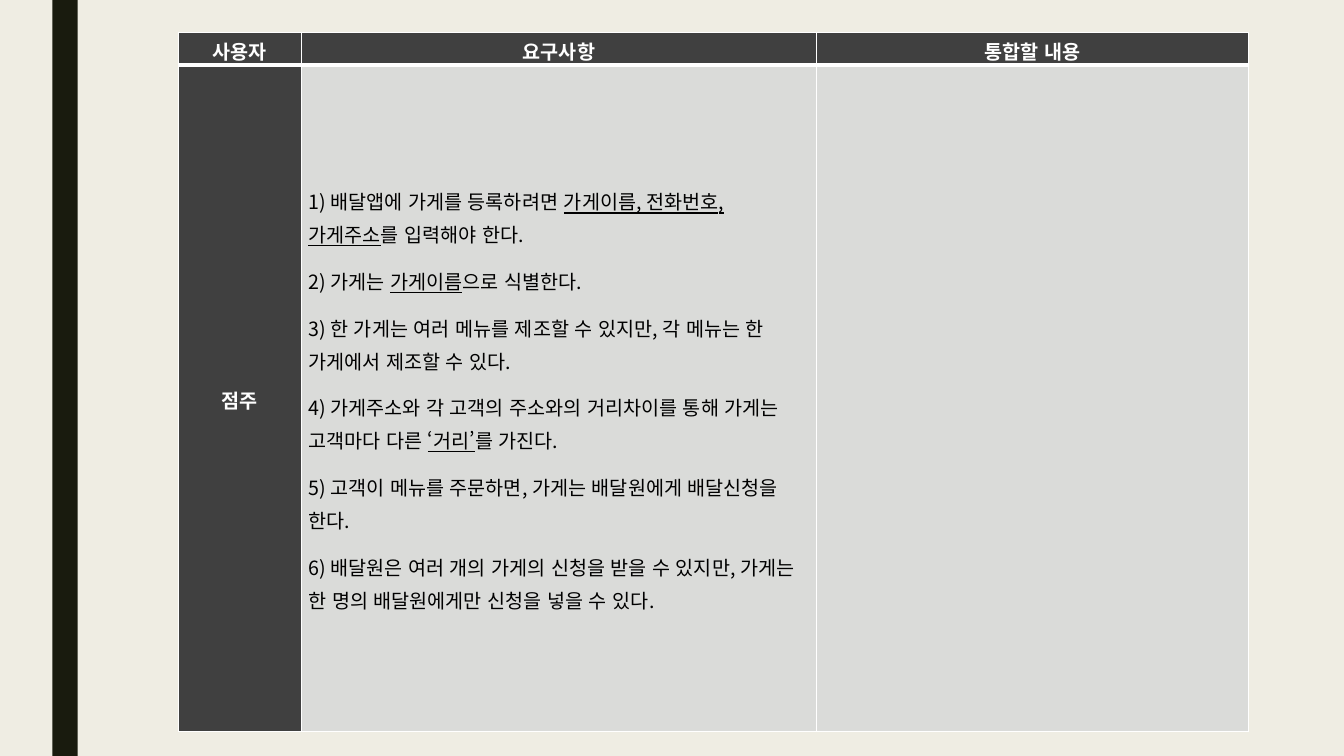
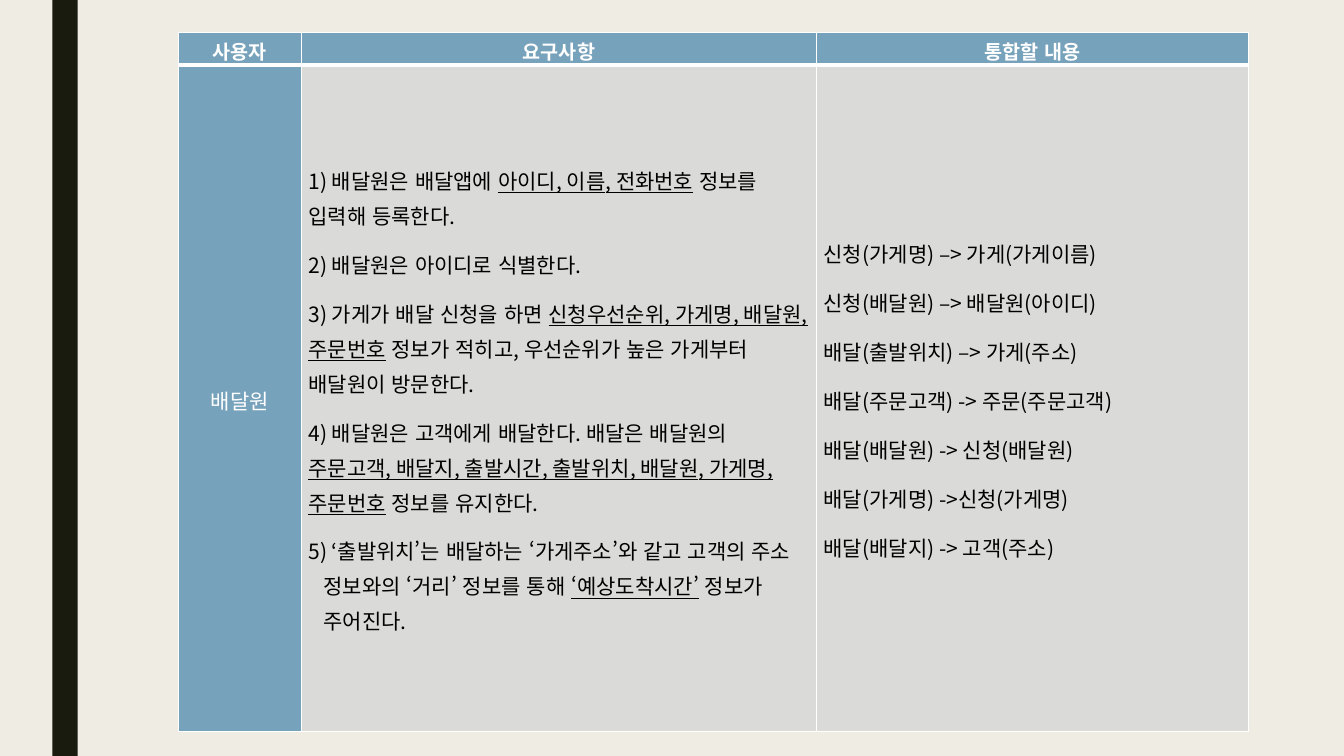
from dataclasses import dataclass

from lxml.etree import SubElement
from pptx import Presentation
from pptx.dml.color import RGBColor
from pptx.enum.lang import MSO_LANGUAGE_ID
from pptx.enum.shapes import MSO_SHAPE
from pptx.enum.text import MSO_ANCHOR, PP_ALIGN
from pptx.oxml.ns import qn
from pptx.presentation import Presentation as Deck
from pptx.slide import Slide
from pptx.table import _Cell as Cell
from pptx.util import Emu, Pt

EMU_PER_PX = 9144  # 100 px to the inch


def px(length: int) -> Emu:
    return Emu(length * EMU_PER_PX)


@dataclass(frozen=True)
class Theme:
    font: str = "Noto Sans CJK KR"
    background: str = "EFEDE3"
    band: str = "191B0E"
    cell: str = "DADBD9"
    light: str = "FFFFFF"
    dark: str = "000000"
    header_size: int = 14
    line_spacing: float = 1.15
    space_after: int = 10
    thin_rule: int = 1
    thick_rule: int = 3


THEME = Theme()
HEADERS = ("사용자", "요구사항", "통합할 내용")
COLUMNS = (122, 511, 428)
ROWS = (26, 661)


@dataclass(frozen=True)
class Line:
    """One paragraph; words between underscores are underlined."""
    text: str
    hanging: int = 0


@dataclass(frozen=True)
class UserPage:
    user: str
    accent: str
    size: int
    user_bold: bool
    requirements: tuple[Line, ...]
    merges: tuple[Line, ...] = ()


@dataclass(frozen=True)
class CellStyle:
    fill: str
    color: str
    size: int
    bold: bool = False
    align: PP_ALIGN | None = None
    inset: int = 7
    top: int = THEME.thin_rule
    bottom: int = THEME.thin_rule


PAGES = (
    UserPage(
        "점주", "404040", 14, True,
        (
            Line("1) 배달앱에 가게를 등록하려면 _가게이름, 전화번호, 가게주소_를 입력해야 한다."),
            Line("2) 가게는 _가게이름_으로 식별한다."),
            Line("3) 한 가게는 여러 메뉴를 제조할 수 있지만, 각 메뉴는 한 가게에서 제조할 수 있다."),
            Line("4) 가게주소와 각 고객의 주소와의 거리차이를 통해 가게는 고객마다 다른 _‘거리’_를 가진다."),
            Line("5) 고객이 메뉴를 주문하면, 가게는 배달원에게 배달신청을 한다."),
            Line("6) 배달원은 여러 개의 가게의 신청을 받을 수 있지만, 가게는 한 명의 배달원에게만 신청을 넣을 수 있다."),
        ),
    ),
    UserPage(
        "배달원", "77A2BB", 15, False,
        (
            Line("1) 배달원은 배달앱에 _아이디, 이름, 전화번호_ 정보를 입력해 등록한다."),
            Line("2) 배달원은 아이디로 식별한다."),
            Line("3) 가게가 배달 신청을 하면 _신청우선순위, 가게명, 배달원, 주문번호_ 정보가 적히고, "
                 "우선순위가 높은 가게부터 배달원이 방문한다."),
            Line("4) 배달원은 고객에게 배달한다. 배달은 배달원의 "
                 "_주문고객, 배달지, 출발시간, 출발위치, 배달원, 가게명, 주문번호_ 정보를 유지한다."),
            Line("5) ‘출발위치’는 배달하는 ‘가게주소’와 같고 고객의 주소 정보와의 ‘거리’ 정보를 통해 "
                 "_‘예상도착시간’_ 정보가 주어진다.", 15),
        ),
        tuple(Line(text, 15) for text in (
            "신청(가게명) –> 가게(가게이름)",
            "신청(배달원) –> 배달원(아이디)",
            "배달(출발위치) –> 가게(주소)",
            "배달(주문고객) -> 주문(주문고객)",
            "배달(배달원) -> 신청(배달원)",
            "배달(가게명) ->신청(가게명)",
            "배달(배달지) -> 고객(주소)",
        )),
    ),
)


def set_borders(cell: Cell, top: int, bottom: int) -> None:
    properties = cell._tc.get_or_add_tcPr()
    widths = {"a:lnL": THEME.thin_rule, "a:lnR": THEME.thin_rule,
              "a:lnT": top, "a:lnB": bottom}
    # Borders stand before the fill in the cell properties
    for position, (tag, width) in enumerate(widths.items()):
        border = SubElement(properties, qn(tag), w=str(Pt(width)))
        fill = SubElement(border, qn("a:solidFill"))
        SubElement(fill, qn("a:srgbClr"), val=THEME.light)
        properties.insert(position, border)


def fill_cell(cell: Cell, lines: tuple[Line, ...], style: CellStyle) -> None:
    cell.fill.solid()
    cell.fill.fore_color.rgb = RGBColor.from_string(style.fill)
    set_borders(cell, style.top, style.bottom)
    cell.vertical_anchor = MSO_ANCHOR.MIDDLE
    cell.margin_left = cell.margin_right = px(style.inset)
    cell.margin_top = cell.margin_bottom = 0
    frame = cell.text_frame
    for index, line in enumerate(lines):
        para = frame.add_paragraph() if index else frame.paragraphs[0]
        para.alignment = style.align
        para.line_spacing = THEME.line_spacing
        para.space_after = Pt(THEME.space_after)
        if line.hanging:
            properties = para._p.get_or_add_pPr()
            properties.set("marL", str(px(line.hanging)))
            properties.set("indent", str(-px(line.hanging)))
        for part, text in enumerate(line.text.split("_")):
            span = para.add_run()
            span.text = text
            font = span.font
            font.name = THEME.font
            font.size = Pt(style.size)
            font.bold = style.bold
            font.underline = part % 2 == 1
            font.color.rgb = RGBColor.from_string(style.color)
            font.language_id = MSO_LANGUAGE_ID.KOREAN
            latin = font._element.find(qn("a:latin"))
            east_asian = SubElement(font._element, qn("a:ea"), typeface=THEME.font)
            latin.addnext(east_asian)


def add_table(page: Slide, content: UserPage) -> None:
    table = page.shapes.add_table(
        len(ROWS), len(COLUMNS), px(177), px(32), px(sum(COLUMNS)), px(sum(ROWS))).table
    table.horz_banding = False
    for column, width in zip(table.columns, COLUMNS):
        column.width = px(width)
    for row, height in zip(table.rows, ROWS):
        row.height = px(height)

    # Header row
    header = CellStyle(content.accent, THEME.light, THEME.header_size, True,
                       PP_ALIGN.CENTER, inset=2, bottom=THEME.thick_rule)
    for index, label in enumerate(HEADERS):
        fill_cell(table.cell(0, index), (Line(label),), header)

    # User, requirements and items to merge
    user = CellStyle(content.accent, THEME.light, content.size, content.user_bold,
                     PP_ALIGN.CENTER, top=THEME.thick_rule)
    body = CellStyle(THEME.cell, THEME.dark, content.size, top=THEME.thick_rule)
    fill_cell(table.cell(1, 0), (Line(content.user),), user)
    fill_cell(table.cell(1, 1), content.requirements, body)
    fill_cell(table.cell(1, 2), content.merges, body)


def add_band(page: Slide) -> None:
    band = page.shapes.add_shape(MSO_SHAPE.RECTANGLE, px(52), 0, px(25), px(750))
    band.shadow.inherit = False
    band.fill.solid()
    band.fill.fore_color.rgb = RGBColor.from_string(THEME.band)
    band.line.fill.background()


def add_page(deck: Deck, content: UserPage) -> None:
    page = deck.slides.add_slide(deck.slide_layouts.get_by_name("Blank"))
    add_band(page)
    add_table(page, content)


def main() -> None:
    deck = Presentation()
    deck.slide_width, deck.slide_height = px(1333), px(750)
    background = deck.slide_master.background.fill
    background.solid()
    background.fore_color.rgb = RGBColor.from_string(THEME.background)
    for content in PAGES:
        add_page(deck, content)
    deck.save("out.pptx")


if __name__ == "__main__":
    main()
